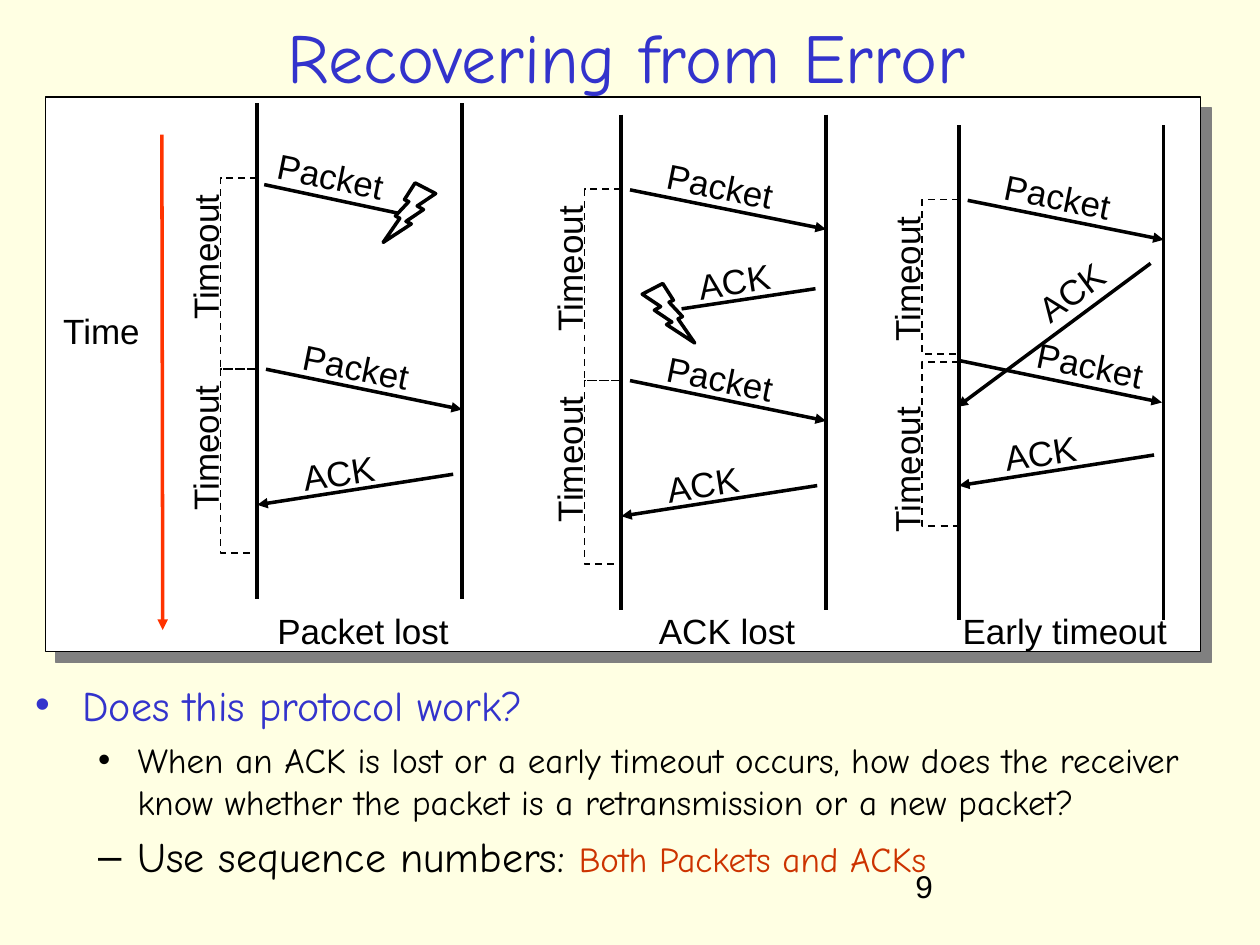
from lxml.etree import SubElement
from pptx import Presentation
from pptx.dml.color import RGBColor
from pptx.enum.dml import MSO_LINE_DASH_STYLE as Dash
from pptx.enum.shapes import MSO_CONNECTOR as Connector, MSO_SHAPE as Shape
from pptx.enum.text import MSO_ANCHOR as Anchor, PP_ALIGN as Align
from pptx.oxml.ns import qn
from pptx.util import Pt

BLACK, WHITE, BLUE, RED = "000000", "FFFFFF", "3333CC", "CC3300"
HEADING_FONT, LABEL_FONT = "Comic Neue", "Arial"
LIFELINE_GAP, LIFELINE_HEIGHT = 117, 283
PACKET_TILT, ACK_TILT = 11.5, -8.8


def color(value):
    """Turn a hex string into a colour."""
    return RGBColor.from_string(value)


def add_run(paragraph, text, size, font, fill):
    """Append one formatted run."""
    run = paragraph.add_run()
    run.text = text
    run.font.size = Pt(size)
    run.font.name = font
    run.font.color.rgb = color(fill)


def add_box(slide, left, top, width, height, wrap=True):
    """Add a text box and return it."""
    shape = slide.shapes.add_textbox(Pt(left), Pt(top), Pt(width), Pt(height))
    shape.text_frame.word_wrap = wrap
    return shape


def add_label(slide, text, x, y, width, tilt=0):
    """Add a label centred on a point."""
    shape = add_box(slide, x - width / 2, y - 16, width, 32, wrap=False)
    shape.rotation = tilt
    shape.text_frame.vertical_anchor = Anchor.MIDDLE
    paragraph = shape.text_frame.paragraphs[0]
    paragraph.alignment = Align.CENTER
    add_run(paragraph, text, 20, LABEL_FONT, BLACK)


def add_line(slide, start, end, arrow=False, stroke=BLACK):
    """Draw a straight line, with an arrowhead at its end on request."""
    line = slide.shapes.add_connector(Connector.STRAIGHT, *map(Pt, start + end))
    line.line.color.rgb = color(stroke)
    line.line.width = Pt(2)
    if arrow:
        SubElement(line.line._get_or_add_ln(), qn("a:tailEnd"), type="triangle")
    SubElement(line._element.spPr, qn("a:effectLst"))


def add_bracket(slide, x, top, bottom, depth=21):
    """Draw a dashed bracket left of a lifeline."""
    builder = slide.shapes.build_freeform(Pt(x), Pt(top))
    corners = [(x - depth, top), (x - depth, bottom), (x, bottom)]
    builder.add_line_segments([(Pt(a), Pt(b)) for a, b in corners], close=False)
    bracket = builder.convert_to_shape()
    bracket.shadow.inherit = False
    bracket.fill.background()
    bracket.line.color.rgb = color(BLACK)
    bracket.line.width = Pt(1)
    bracket.line.dash_style = Dash.DASH


def add_bolt(slide, x, y, mirrored):
    """Draw the bolt that marks a loss."""
    bolt = slide.shapes.add_shape(Shape.LIGHTNING_BOLT, Pt(x), Pt(y), Pt(30), Pt(34))
    bolt.shadow.inherit = False
    bolt.fill.solid()
    bolt.fill.fore_color.rgb = color(WHITE)
    bolt.line.color.rgb = color(BLACK)
    bolt.line.width = Pt(2)
    if mirrored:
        bolt._element.spPr.xfrm.set("flipH", "1")


def add_scenario(slide, left, top, caption, messages, timeouts, bolt=None):
    """Draw one exchange between two lifelines."""
    for start, end in timeouts:
        add_bracket(slide, left, top + start, top + end)
    for y in (88, 197):
        add_label(slide, "Timeout", left - 30, top + y, 90, 270)
    for text, start, end, spot, tilt, arrow in messages:
        add_line(slide, (left + start[0], top + start[1]),
                 (left + end[0], top + end[1]), arrow)
        width = 76 if text == "Packet" else 56
        add_label(slide, text, left + spot[0], top + spot[1], width, tilt)
    if bolt:
        x, y, mirrored = bolt
        add_bolt(slide, left + x, top + y, mirrored)
    for x in (left, left + LIFELINE_GAP):
        add_line(slide, (x, top), (x, top + LIFELINE_HEIGHT))
    add_label(slide, caption, left + 60.5, 360.5, 144)


def add_panel(slide, left, top, width, height):
    """Draw the white panel with its hard shadow and the time axis."""
    panel = slide.shapes.add_shape(Shape.RECTANGLE, Pt(left), Pt(top), Pt(width), Pt(height))
    panel.shadow.inherit = False
    panel.fill.solid()
    panel.fill.fore_color.rgb = color(WHITE)
    panel.line.color.rgb = color(BLACK)
    panel.line.width = Pt(0.75)
    effects = panel._element.spPr.find(qn("a:effectLst"))
    shadow = SubElement(effects, qn("a:outerShdw"), blurRad="0", dist=str(Pt(8.5)),
                        dir="2700000", algn="tl", rotWithShape="0")
    SubElement(shadow, qn("a:srgbClr"), val="808080")
    add_line(slide, (left + 66.5, top + 21.5), (left + 67, top + 304.5), True, "FF3300")
    add_label(slide, "Time", left + 32, top + 133.5, 64)


def add_title(slide, left, top, width, height):
    """Place and format the title."""
    title = slide.shapes.title
    title.left, title.top, title.width, title.height = map(Pt, (left, top, width, height))
    title.text_frame.vertical_anchor = Anchor.MIDDLE
    paragraph = title.text_frame.paragraphs[0]
    paragraph.alignment = Align.CENTER
    add_run(paragraph, "Recovering from Error", 40, HEADING_FONT, BLUE)


def add_body(slide, left, top, width, height):
    """Write the bulleted question and answer."""
    frame = add_box(slide, left, top, width, height).text_frame
    items = [
        (0, "•", BLUE, [("Does this protocol work?", 24, BLUE)]),
        (1, "•", BLACK, [("When an ACK is lost or a early timeout occurs, how does the receiver "
                          "know whether the packet is a retransmission or a new packet?", 20, BLACK)]),
        (1, "–", BLACK, [("Use sequence numbers: ", 24, BLACK),
                         ("Both Packets and ACKs", 20, RED)]),
    ]
    for index, (level, bullet, bullet_color, runs) in enumerate(items):
        paragraph = frame.add_paragraph() if index else frame.paragraphs[0]
        paragraph.level = level
        paragraph.space_before = Pt(5 if level else 6)
        margin, indent = ((27, -27), (58.5, -22.5))[level]
        properties = paragraph._p.get_or_add_pPr()
        properties.set("marL", str(Pt(margin)))
        properties.set("indent", str(Pt(indent)))
        holder = SubElement(properties, qn("a:buClr"))
        SubElement(holder, qn("a:srgbClr"), val=bullet_color)
        SubElement(properties, qn("a:buFont"), typeface=LABEL_FONT)
        SubElement(properties, qn("a:buChar"), char=bullet)
        for text, size, fill in runs:
            add_run(paragraph, text, size, HEADING_FONT, fill)


def build():
    """Build the slide and save it."""
    presentation = Presentation()
    presentation.slide_width, presentation.slide_height = Pt(720), Pt(540)
    slide = presentation.slides.add_slide(presentation.slide_layouts[5])
    slide.background.fill.solid()
    slide.background.fill.fore_color.rgb = color("FFFFE3")
    add_title(slide, 52, 12, 612, 40)
    add_panel(slide, 26, 55.5, 660, 317)

    first_packet = ("Packet", (5, 43), (117, 65.5), (56.5, 40.5), PACKET_TILT, True)
    second_packet = ("Packet", (5, 152), (117, 175), (56.5, 150.5), PACKET_TILT, True)
    last_ack = ("ACK", (112, 212), (0, 229.5), (46.5, 211), ACK_TILT, True)
    lost_packet = ("Packet", (4, 46.5), (86, 64), (42, 41.5), PACKET_TILT, False)
    lost_ack = ("ACK", (111, 99.5), (34.5, 111), (64.5, 95), ACK_TILT, False)
    late_ack = ("ACK", (109.5, 79), (-1, 161), (64, 95), -36.6, True)
    early_packet = ("Packet", (0, 134.5), (116, 158.5), (75, 137), PACKET_TILT, True)
    early_ack = ("ACK", (111.5, 188.5), (0, 206), (46.5, 187), ACK_TILT, True)
    timeouts = [(42.5, 152), (152, 257)]

    add_scenario(slide, 147, 59, "Packet lost",
                 [lost_packet, second_packet, last_ack], timeouts, (72, 45.5, True))
    add_scenario(slide, 355, 65.5, "ACK lost",
                 [first_packet, lost_ack, second_packet, last_ack], timeouts, (12, 96.5, False))
    add_scenario(slide, 548, 71.5, "Early timeout",
                 [first_packet, late_ack, early_packet, early_ack], [(42.5, 131), (135.5, 229)])

    add_body(slide, 13, 384.5, 695.5, 138)
    number = add_box(slide, 516, 492, 150, 36)
    add_run(number.text_frame.paragraphs[0], "9", 18, LABEL_FONT, BLACK)
    presentation.save("out.pptx")


build()
